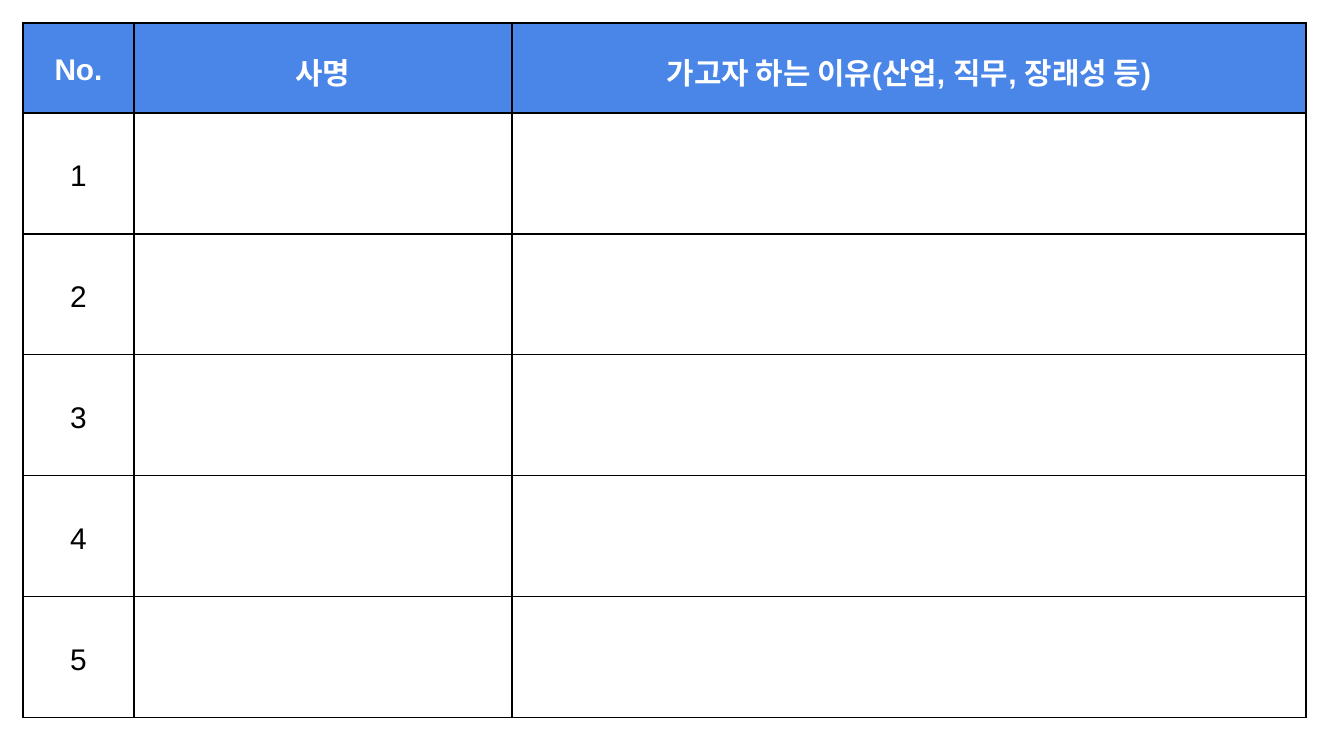
from lxml import etree
from pptx import Presentation
from pptx import util as u
from pptx.dml.color import RGBColor
from pptx.enum import text
from pptx.oxml.ns import qn

PX = 914400 / 134.4
BLUE = RGBColor(0x4A, 0x86, 0xE8)
WHITE = RGBColor(0xFF, 0xFF, 0xFF)
BLACK = RGBColor(0x00, 0x00, 0x00)

HEADERS = ["No.", "사명", "가고자 하는 이유(산업, 직무, 장래성 등)"]
COMPANY_COUNT = 5
COLUMN_WIDTHS = [111, 378, 794]
HEADER_HEIGHT, ROW_HEIGHT = 90, 121


def px(n):
    return u.Emu(round(n * PX))


def write(tf, content, font="Arial", size=16, color=BLACK, bold=False):
    p = tf.paragraphs[0]
    p.alignment = text.PP_ALIGN.CENTER
    p.line_spacing = 1.15
    r = p.add_run()
    r.text = content
    r.font.name, r.font.size, r.font.bold = font, u.Pt(size), bold
    r.font.color.rgb = color


class SlideBuilder:
    """Holds the current slide and the table style."""

    def __init__(self, s, border=BLACK, border_width=0.75, inset=13):
        self.s = s
        self.border = border
        self.border_width = border_width
        self.inset = inset

    def style_cell(self, cell, fill=None):
        """Set inset, anchor, four borders and the fill (none by default)."""
        cell.margin_left = cell.margin_right = px(self.inset)
        cell.margin_top = cell.margin_bottom = px(self.inset)
        cell.vertical_anchor = text.MSO_ANCHOR.MIDDLE
        pr = cell._tc.get_or_add_tcPr()
        for side in ("a:lnL", "a:lnR", "a:lnT", "a:lnB"):
            ln = etree.SubElement(pr, qn(side), w=str(u.Pt(self.border_width)))
            solid = etree.SubElement(ln, qn("a:solidFill"))
            etree.SubElement(solid, qn("a:srgbClr"), val=str(self.border))
        if fill is None:
            cell.fill.background()
        else:
            cell.fill.solid()
            cell.fill.fore_color.rgb = fill

    def table(self, left, top, widths, heights, rows):
        frame = self.s.shapes.add_table(
            len(heights), len(widths),
            px(left), px(top), px(sum(widths)), px(sum(heights)))
        table = frame.table
        table.first_row = table.horz_banding = False
        for column, width in zip(table.columns, widths):
            column.width = px(width)
        for row, height in zip(table.rows, heights):
            row.height = px(height)
        for i, row in enumerate(rows):
            header = i == 0
            for j, content in enumerate(row):
                cell = table.cell(i, j)
                self.style_cell(cell, fill=BLUE if header else None)
                if content:
                    write(cell.text_frame, content, bold=header,
                          color=WHITE if header else BLACK)


def main():
    prs = Presentation()
    prs.slide_width, prs.slide_height = px(1344), px(756)
    builder = SlideBuilder(prs.slides.add_slide(prs.slide_layouts[6]))
    rows = [HEADERS] + [[str(n), "", ""] for n in range(1, COMPANY_COUNT + 1)]
    heights = [HEADER_HEIGHT] + [ROW_HEIGHT] * COMPANY_COUNT
    builder.table(23, 23, COLUMN_WIDTHS, heights, rows)
    prs.save("out.pptx")


if __name__ == "__main__":
    main()
